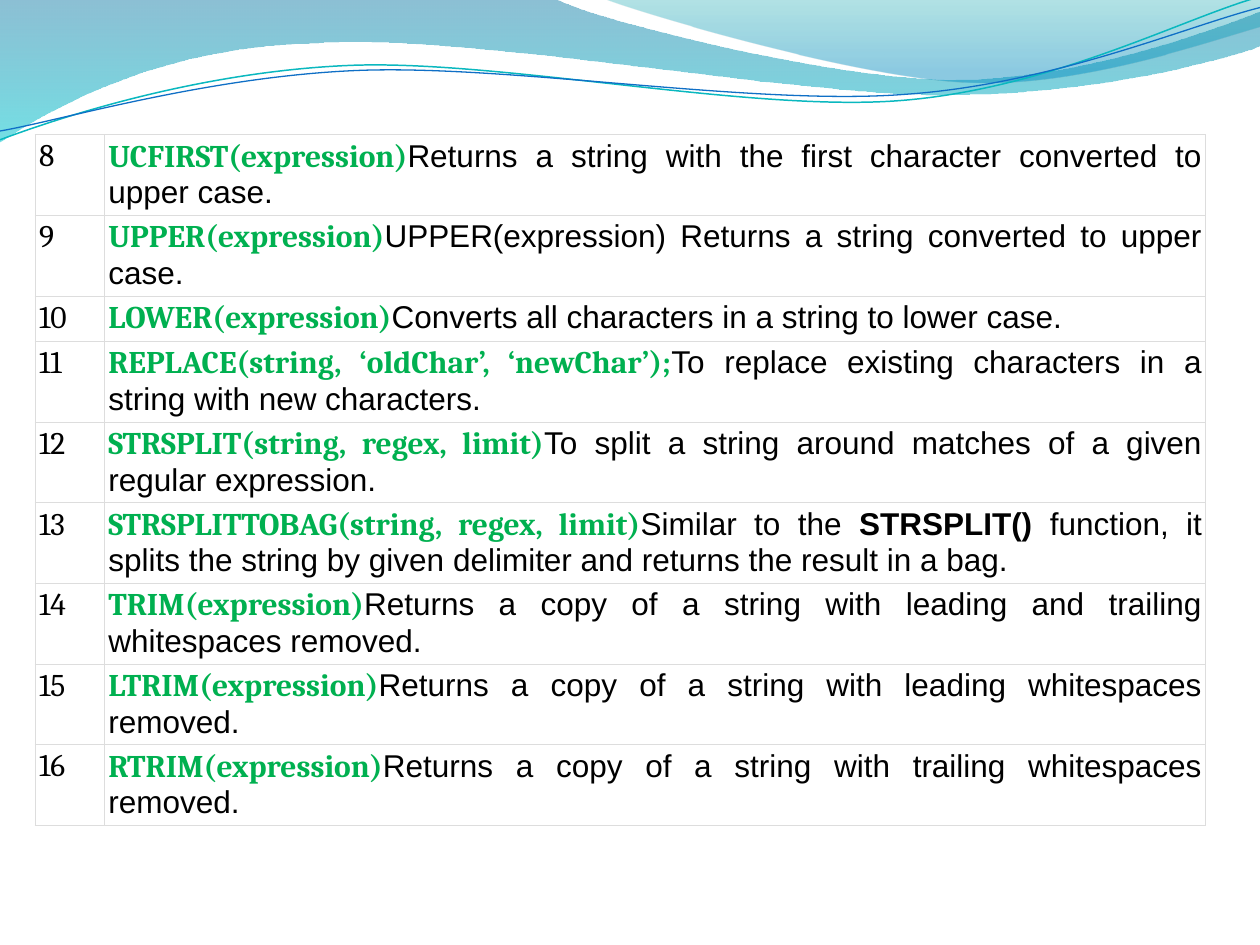
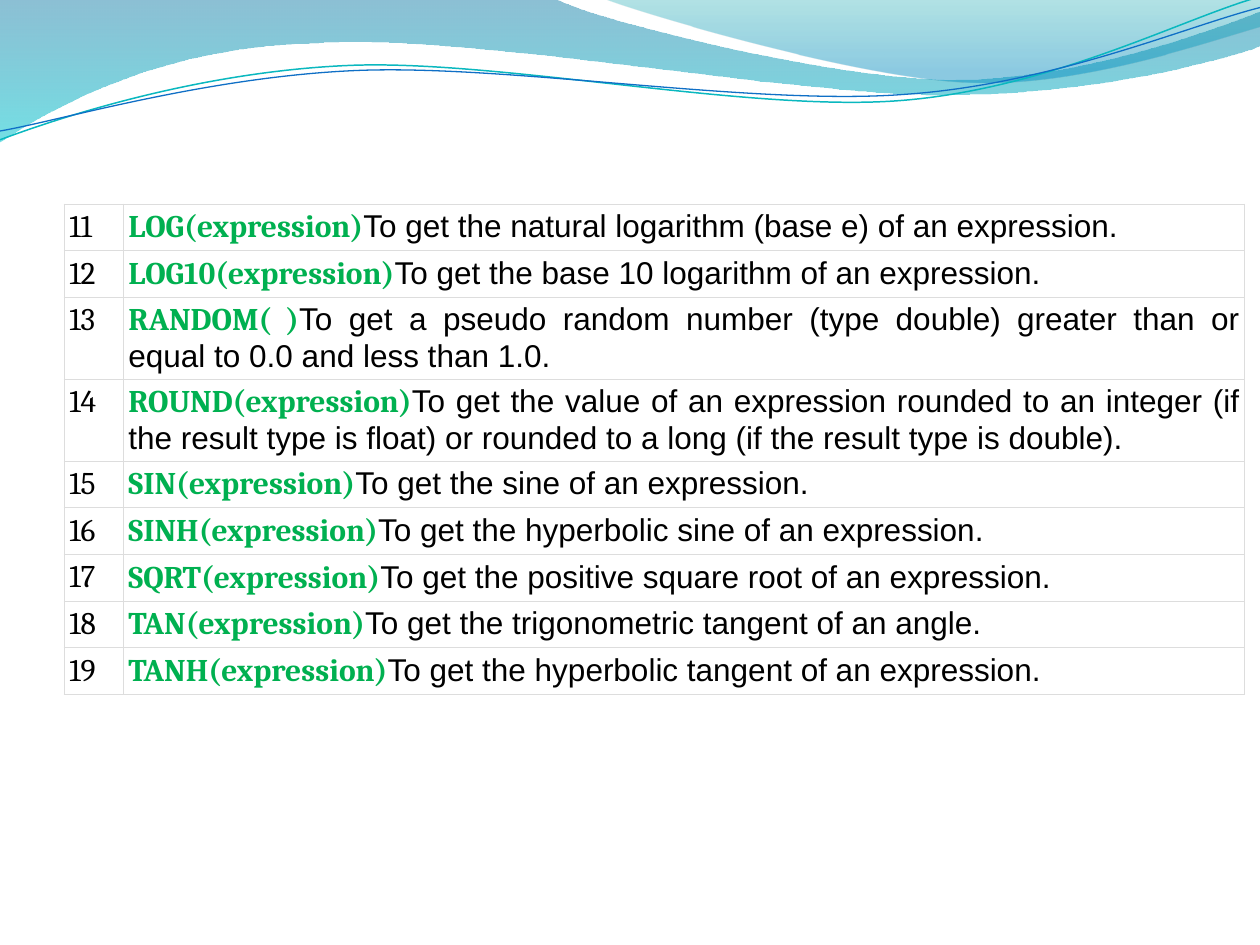
"""Build two slides of function reference tables under a wave banner."""
from dataclasses import dataclass
from typing import NamedTuple

from lxml.etree import SubElement
from pptx import Presentation
from pptx.dml.color import RGBColor
from pptx.enum.text import PP_ALIGN
from pptx.oxml.ns import qn
from pptx.shapes.autoshape import Shape
from pptx.slide import Slide
from pptx.table import _Cell
from pptx.text.text import _Paragraph
from pptx.util import Inches, Pt

CODE_FONT, PROSE_FONT = "Cambria", "Arial"
CODE_COLOR, TEXT_COLOR, BORDER_COLOR = "00B050", "000000", "DDDDDD"
TEXT_SIZE = Pt(18)
BOTTOM_MARGIN = Inches(0.04)

Point = tuple[float, float]
Segments = tuple[tuple[Point, ...], ...]


class GradientStop(NamedTuple):
    """A gradient colour with its position and opacity in percent."""
    position: int
    color: str
    opacity: int


@dataclass(frozen=True)
class Band:
    """A filled wave; segments hold one point (line) or three (curve)."""
    start: Point
    segments: Segments
    stops: tuple[GradientStop, GradientStop]


@dataclass(frozen=True)
class Strand:
    """A thin open wave line."""
    start: Point
    segments: Segments
    color: str
    width: float


class Function(NamedTuple):
    """A documented function; ** surrounds bold words of the description."""
    signature: str
    description: str
    row_height: float


@dataclass(frozen=True)
class Reference:
    """A numbered function table and its placement in inches."""
    left: float
    top: float
    height: float
    column_widths: tuple[float, float]
    margin: float
    first_number: int
    functions: tuple[Function, ...]


BANDS = (
    Band((0, 0), (
        ((4.4, -0.01),),
        ((4.76, 0.17), (6.64, 0.63), (7.58, 0.63)),
        ((8.53, 0.63), (9.58, 0.26), (10, 0.09)),
        ((10.01, 0.36),),
        ((9.83, 0.44), (8.7, 0.76), (7.46, 0.75)),
        ((6.22, 0.75), (3.82, 0.28), (2.57, 0.34)),
        ((1.29, 0.36), (0.46, 0.83), (-0.01, 1.13)),
        ((0, 0),),
    ), (GradientStop(0, "0074A1", 45), GradientStop(100, "00C6CF", 55))),
    Band((4.79, -0.01), (
        ((5.09, 0.11), (6.82, 0.62), (7.69, 0.65)),
        ((8.56, 0.69), (9.61, 0.32), (10, 0.21)),
        ((10, 0),),
        ((4.79, -0.01),),
    ), (GradientStop(0, "00A1A9", 30), GradientStop(80, "008BBF", 45))),
)

STRANDS = (
    Strand((0, 1.11), (
        ((0.48, 0.93), (1.58, 0.57), (2.77, 0.52)),
        ((3.95, 0.47), (5.93, 0.89), (7.13, 0.8)),
        ((8.33, 0.71), (9.38, 0.15), (9.98, -0.02)),
    ), "0AB8BF", 0.85),
    Strand((0, 1.04), (
        ((0.47, 0.96), (1.64, 0.61), (2.83, 0.56)),
        ((4.03, 0.51), (5.97, 0.84), (7.17, 0.75)),
        ((8.36, 0.67), (9.41, 0.21), (10, 0.06)),
    ), "0F6FC6", 0.75),
)

STRING_FUNCTIONS = Reference(0.28, 1.07, 5.72, (0.55, 8.74), 0.03, 8, (
    Function("UCFIRST(expression)", "Returns a string with the first character converted to upper case.", 0.39),
    Function("UPPER(expression)", "UPPER(expression) Returns a string converted to upper case.", 0.31),
    Function("LOWER(expression)", "Converts all characters in a string to lower case.", 0.31),
    Function("REPLACE(string, ‘oldChar’, ‘newChar’);",
             "To replace existing characters in a string with new characters.", 0.47),
    Function("STRSPLIT(string, regex, limit)",
             "To split a string around matches of a given regular expression.", 0.31),
    Function("STRSPLITTOBAG(string, regex, limit)",
             "Similar to the **STRSPLIT()** function, it splits the string by given delimiter"
             " and returns the result in a bag.", 0.31),
    Function("TRIM(expression)",
             "Returns a copy of a string with leading and trailing whitespaces removed.", 0.24),
    Function("LTRIM(expression)", "Returns a copy of a string with leading whitespaces removed.", 0.31),
    Function("RTRIM(expression)", "Returns a copy of a string with trailing whitespaces removed.", 0.56),
))

MATH_FUNCTIONS = Reference(0.51, 1.62, 3.99, (0.47, 8.9), 0.04, 11, (
    Function("LOG(expression)", "To get the natural logarithm (base e) of an expression.", 0.24),
    Function("LOG10(expression)", "To get the base 10 logarithm of an expression.", 0.31),
    Function("RANDOM( )",
             "To get a pseudo random number (type double) greater than or equal to 0.0"
             " and less than 1.0.", 0.31),
    Function("ROUND(expression)",
             "To get the value of an expression rounded to an integer (if the result type is float)"
             " or rounded to a long (if the result type is double).", 0.39),
    Function("SIN(expression)", "To get the sine of an expression.", 0.31),
    Function("SINH(expression)", "To get the hyperbolic sine of an expression.", 0.31),
    Function("SQRT(expression)", "To get the positive square root of an expression.", 0.31),
    Function("TAN(expression)", "To get the trigonometric tangent of an angle.", 0.24),
    Function("TANH(expression)", "To get the hyperbolic tangent of an expression.", 0.24),
))


def rgb(color: str) -> RGBColor:
    """Turn a hex string into a colour."""
    return RGBColor.from_string(color)


def bend(outline: Shape, segments: Segments) -> None:
    """Join the straight pieces of each three-point segment into a cubic curve."""
    pieces = iter(list(outline._element.iter(qn("a:lnTo"))))
    for segment in segments:
        joined = [next(pieces) for _ in segment]
        if len(joined) == 3:
            contour = joined[0].getparent()
            curve = contour.makeelement(qn("a:cubicBezTo"))
            joined[0].addprevious(curve)
            for piece in joined:
                curve.append(piece[0])
                contour.remove(piece)


def add_wave(slide: Slide, wave: Band | Strand, close: bool) -> Shape:
    """Draw the outline of a wave."""
    builder = slide.shapes.build_freeform(*map(Inches, wave.start))
    points = [(Inches(x), Inches(y)) for segment in wave.segments for x, y in segment]
    builder.add_line_segments(points, close=close)
    outline = builder.convert_to_shape()
    outline.shadow.inherit = False
    bend(outline, wave.segments)
    return outline


def add_band(slide: Slide, band: Band) -> None:
    """Draw a wave filled with a translucent downward gradient."""
    outline = add_wave(slide, band, close=True)
    outline.line.fill.background()
    outline.fill.gradient()
    outline.fill.gradient_angle = 270
    for target, stop in zip(outline.fill.gradient_stops, band.stops):
        target.position = stop.position / 100
        target.color.rgb = rgb(stop.color)
    for color, stop in zip(outline._element.iter(qn("a:srgbClr")), band.stops):
        SubElement(color, qn("a:alpha"), val=str(stop.opacity * 1000))


def add_strand(slide: Slide, strand: Strand) -> None:
    """Draw a thin wave line."""
    outline = add_wave(slide, strand, close=False)
    outline.fill.background()
    outline.line.color.rgb = rgb(strand.color)
    outline.line.width = Pt(strand.width)


def add_banner(slide: Slide) -> None:
    """Draw the waves shared by all slides."""
    for band in BANDS:
        add_band(slide, band)
    for strand in STRANDS:
        add_strand(slide, strand)


def style_cell(cell: _Cell, margin: float) -> None:
    """Give a cell its margins, thin borders and no fill."""
    cell.margin_left = cell.margin_right = cell.margin_top = Inches(margin)
    cell.margin_bottom = BOTTOM_MARGIN
    properties = cell._tc.get_or_add_tcPr()
    for side in ("lnL", "lnR", "lnT", "lnB"):
        border = SubElement(properties, qn(f"a:{side}"), w=str(Pt(0.75)))
        SubElement(SubElement(border, qn("a:solidFill")), qn("a:srgbClr"), val=BORDER_COLOR)
    cell.fill.background()


def add_run(paragraph: _Paragraph, text: str, font: str, color: str, bold: bool) -> None:
    """Append a styled run."""
    run = paragraph.add_run()
    run.text = text
    run.font.name = font
    run.font.color.rgb = rgb(color)
    run.font.bold = bold


def write_number(cell: _Cell, number: int) -> None:
    """Write the row number."""
    cell.text = str(number)
    font = cell.text_frame.paragraphs[0].font
    font.name, font.size = CODE_FONT, TEXT_SIZE
    font.color.rgb = rgb(TEXT_COLOR)


def write_function(cell: _Cell, function: Function) -> None:
    """Write the signature followed by its description."""
    paragraph = cell.text_frame.paragraphs[0]
    paragraph.alignment = PP_ALIGN.JUSTIFY
    paragraph.font.size = TEXT_SIZE
    add_run(paragraph, function.signature, CODE_FONT, CODE_COLOR, True)
    for index, part in enumerate(function.description.split("**")):
        add_run(paragraph, part, PROSE_FONT, TEXT_COLOR, index % 2 == 1)


def add_reference(slide: Slide, reference: Reference) -> None:
    """Draw a function table."""
    frame = slide.shapes.add_table(
        len(reference.functions), 2, Inches(reference.left), Inches(reference.top),
        Inches(sum(reference.column_widths)), Inches(reference.height))
    table = frame.table
    table.first_row = table.horz_banding = False
    for column, width in zip(table.columns, reference.column_widths):
        column.width = Inches(width)
    for number, (row, function) in enumerate(zip(table.rows, reference.functions), reference.first_number):
        row.height = Inches(function.row_height)
        for cell in row.cells:
            style_cell(cell, reference.margin)
        write_number(row.cells[0], number)
        write_function(row.cells[1], function)
    frame.height = Inches(reference.height)


def main() -> None:
    """Build and save the presentation."""
    presentation = Presentation()
    presentation.slide_width, presentation.slide_height = Inches(10), Inches(7.5)
    for reference in (STRING_FUNCTIONS, MATH_FUNCTIONS):
        slide = presentation.slides.add_slide(presentation.slide_layouts[6])
        add_banner(slide)
        add_reference(slide, reference)
    presentation.save("out.pptx")


if __name__ == "__main__":
    main()
